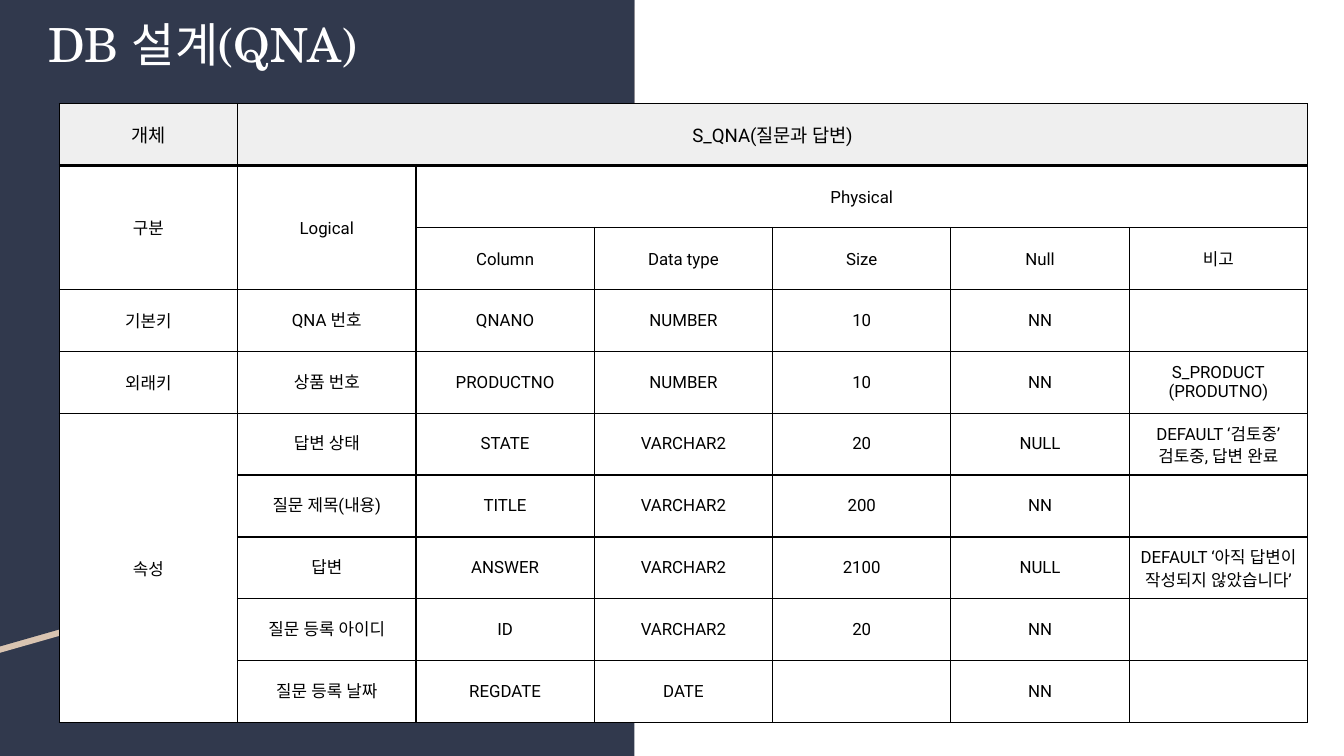
import dataclasses
import typing

import lxml.etree
import pptx
import pptx.dml.color
import pptx.enum.shapes
import pptx.enum.text
import pptx.oxml.ns
import pptx.util

Cm = pptx.util.Cm
Pt = pptx.util.Pt

COLORS = {
    "navy": "31394D",
    "sand": "D9C4B1",
    "white": "FFFFFF",
    "header": "EFEFEF",
    "black": "000000",
}
TITLE_FONT, TABLE_FONT = "TeX Gyre Schola", "Roboto"
PANEL_WIDTH = 11.99
COLUMN_WIDTH, ROW_HEIGHT = 3.37, 1.17
THIN, THICK = 0.75, 2
HEADER_ROWS = 3


@dataclasses.dataclass(frozen=True)
class Band:
    """Panel section with a slanted lower edge, in centimetres."""
    top: float
    right_bottom: float
    left_bottom: float
    color: str


@dataclasses.dataclass(frozen=True)
class Span:
    """Merged cells, from the first corner to the last."""
    row: int
    column: int
    last_row: int
    last_column: int


BANDS = [
    Band(0.12, 8.92, 12.34, "sand"),
    Band(0, 8.79, 12.22, "navy"),
]
SPANS = [
    Span(0, 1, 0, 6),
    Span(1, 0, 2, 0),
    Span(1, 1, 2, 1),
    Span(1, 2, 1, 6),
    Span(5, 0, 9, 0),
]
ROWS = [
    ["개체", "S_QNA(질문과 답변)", "", "", "", "", ""],
    ["구분", "Logical", "Physical", "", "", "", ""],
    ["", "", "Column", "Data type", "Size", "Null", "비고"],
    ["기본키", "QNA 번호", "QNANO", "NUMBER", "10", "NN", ""],
    ["외래키", "상품 번호", "PRODUCTNO", "NUMBER", "10", "NN", "S_PRODUCT\n(PRODUTNO)"],
    ["속성", "답변 상태", "STATE", "VARCHAR2", "20", "NULL", "DEFAULT ‘검토중’\n검토중, 답변 완료"],
    ["", "질문 제목(내용)", "TITLE", "VARCHAR2", "200", "NN", ""],
    ["", "답변", "ANSWER", "VARCHAR2", "2100", "NULL", "DEFAULT ‘아직 답변이 작성되지 않았습니다’"],
    ["", "질문 등록 아이디", "ID", "VARCHAR2", "20", "NN", ""],
    ["", "질문 등록 날짜", "REGDATE", "DATE", "", "NN", ""],
]


def rgb(name: str) -> pptx.dml.color.RGBColor:
    return pptx.dml.color.RGBColor.from_string(COLORS[name])


def paint(shape: typing.Any, color: str) -> None:
    shape.fill.solid()
    shape.fill.fore_color.rgb = rgb(color)
    shape.line.fill.background()
    shape.shadow.inherit = False


def write(frame: typing.Any, text: str, *, font: str, size: float, color: str,
          spacing: typing.Optional[float] = None) -> None:
    """Write centred text, one paragraph per line."""
    frame.word_wrap = True
    frame.text = text
    for paragraph in frame.paragraphs:
        paragraph.alignment = pptx.enum.text.PP_ALIGN.CENTER
        paragraph.line_spacing = spacing
        for run in paragraph.runs:
            run.font.name = font
            run.font.size = Pt(size)
            run.font.color.rgb = rgb(color)
            properties = run.font._element
            for tag in ("a:ea", "a:cs"):
                lxml.etree.SubElement(properties, pptx.oxml.ns.qn(tag), typeface=font)


def draw_band(slide: typing.Any, band: Band) -> None:
    builder = slide.shapes.build_freeform(0, Cm(band.top))
    builder.add_line_segments([
        (Cm(PANEL_WIDTH), Cm(band.top)),
        (Cm(PANEL_WIDTH), Cm(band.right_bottom)),
        (0, Cm(band.left_bottom)),
    ], close=True)
    paint(builder.convert_to_shape(), band.color)


def draw_borders(cell: typing.Any, top: float, bottom: float) -> None:
    properties = cell._tc.get_or_add_tcPr()
    edges = {"a:lnL": THIN, "a:lnR": THIN, "a:lnT": top, "a:lnB": bottom}
    for position, (tag, width) in enumerate(edges.items()):
        edge = lxml.etree.Element(pptx.oxml.ns.qn(tag), w=str(Pt(width)))
        fill = lxml.etree.SubElement(edge, pptx.oxml.ns.qn("a:solidFill"))
        lxml.etree.SubElement(fill, pptx.oxml.ns.qn("a:srgbClr"), val=COLORS["black"])
        properties.insert(position, edge)


def fill_cell(cell: typing.Any, row: int, column: int, text: str) -> None:
    cell.fill.solid()
    cell.fill.fore_color.rgb = rgb("white" if row else "header")
    cell.vertical_anchor = pptx.enum.text.MSO_ANCHOR.MIDDLE
    cell.margin_left = cell.margin_right = Cm(0.05)
    cell.margin_top = cell.margin_bottom = Cm(0.05)
    # Headings and default-value remarks are set looser
    loose = row < HEADER_ROWS or column == 0 or text.startswith("DEFAULT")
    write(cell.text_frame, text, font=TABLE_FONT, size=9 if row else 10,
          color="black", spacing=1.15 if loose else None)
    draw_borders(cell, top=THICK if row == 1 else THIN,
                 bottom=THICK if row == 0 else THIN)


def draw_table(slide: typing.Any) -> None:
    row_count, column_count = len(ROWS), len(ROWS[0])
    table = slide.shapes.add_table(
        row_count, column_count, Cm(1.12), Cm(1.96),
        Cm(COLUMN_WIDTH * column_count), Cm(ROW_HEIGHT * row_count)).table
    table.first_row = table.horz_banding = False
    for column in table.columns:
        column.width = Cm(COLUMN_WIDTH)
    for row in table.rows:
        row.height = Cm(ROW_HEIGHT)
    for row, texts in enumerate(ROWS):
        for column, text in enumerate(texts):
            fill_cell(table.cell(row, column), row, column, text)
    for span in SPANS:
        table.cell(span.row, span.column).merge(
            table.cell(span.last_row, span.last_column))


def main() -> None:
    deck = pptx.Presentation()
    deck.slide_width, deck.slide_height = Cm(25.4), Cm(14.29)
    slide = deck.slides.add_slide(deck.slide_layouts[6])

    # Left panel with its slanted stripe
    panel = slide.shapes.add_shape(
        pptx.enum.shapes.MSO_SHAPE.RECTANGLE, 0, 0, Cm(PANEL_WIDTH), deck.slide_height)
    paint(panel, "navy")
    for band in BANDS:
        draw_band(slide, band)

    # Title
    title = slide.shapes.add_textbox(0, 0, Cm(7.67), Cm(1.65)).text_frame
    title.vertical_anchor = pptx.enum.text.MSO_ANCHOR.MIDDLE
    title.margin_left = title.margin_right = Cm(0.25)
    title.margin_top = title.margin_bottom = Cm(0.25)
    write(title, "DB 설계(QNA)", font=TITLE_FONT, size=25.2, color="white")

    # Table design
    draw_table(slide)
    deck.save("out.pptx")


if __name__ == "__main__":
    main()
